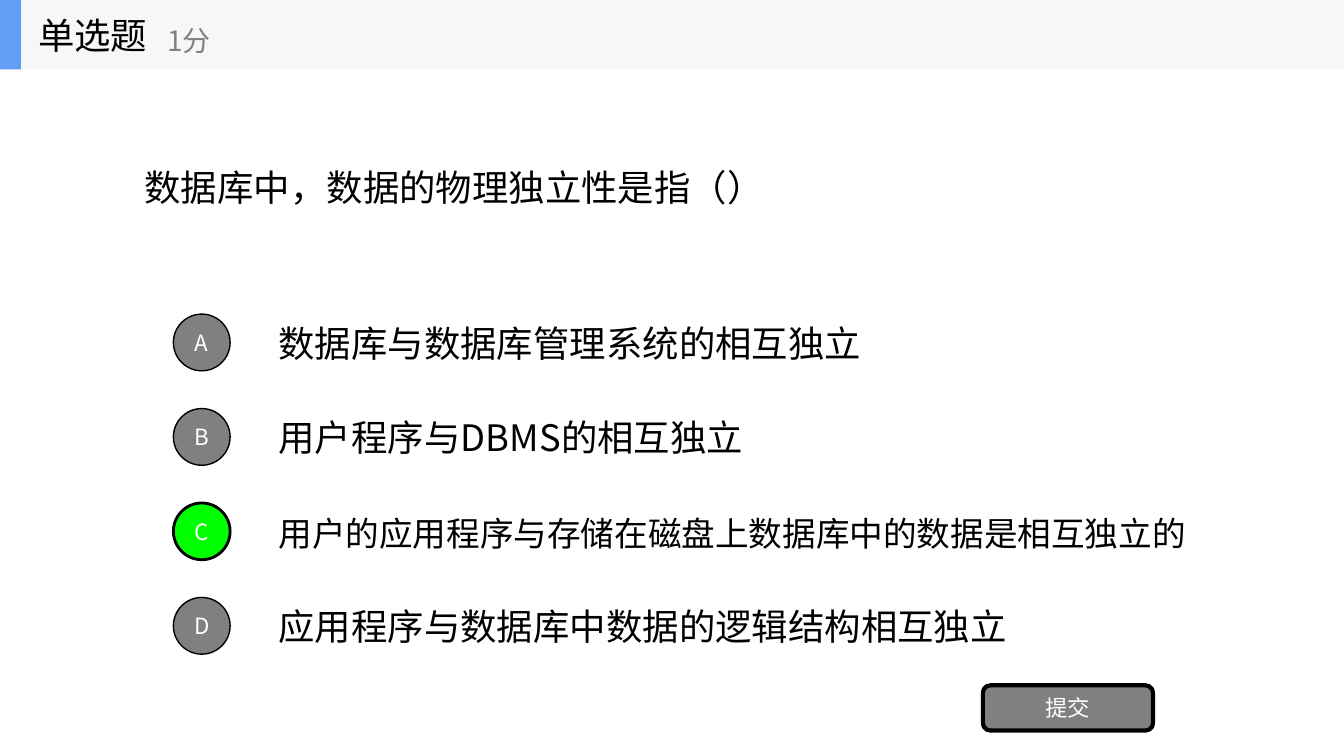
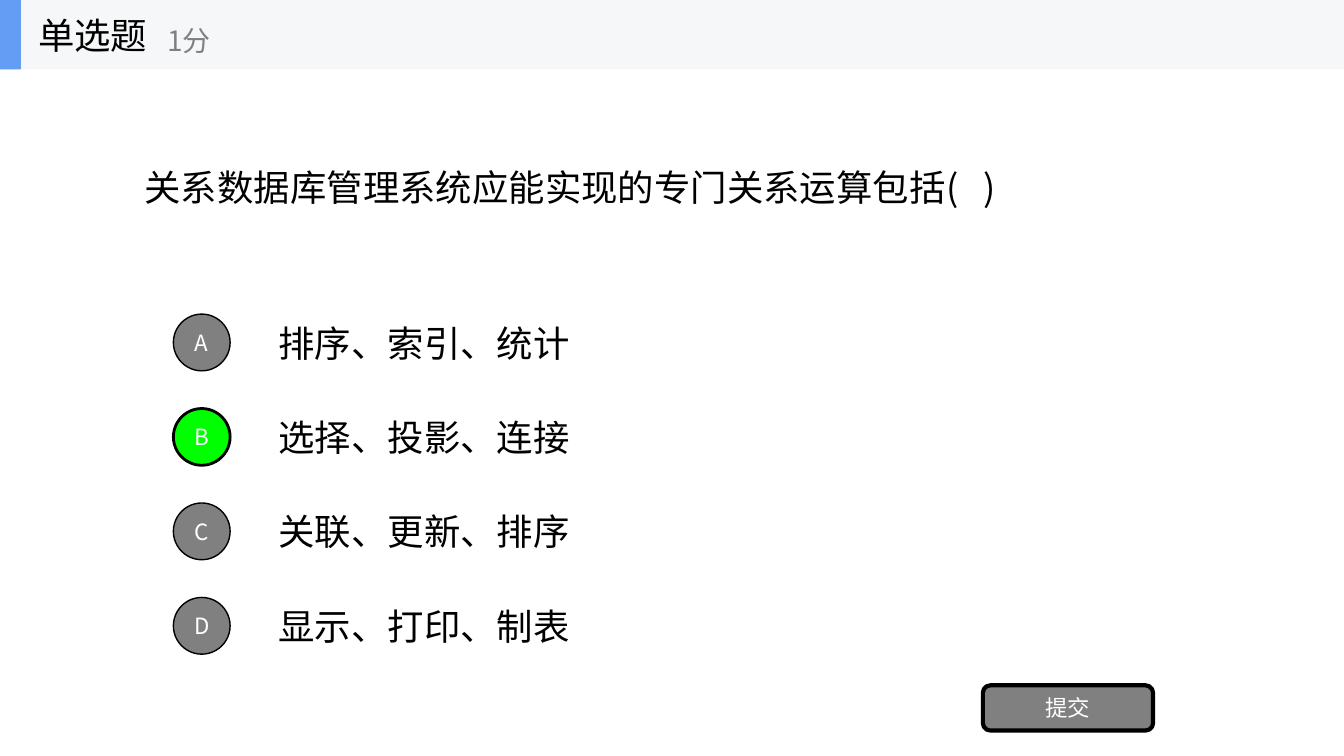
import pptx
import pptx.util
import pptx.dml.color
import pptx.enum.shapes
import pptx.enum.text
import pptx.oxml.ns
import lxml.etree

Cm = pptx.util.Cm
Pt = pptx.util.Pt
RGBColor = pptx.dml.color.RGBColor
Kind = pptx.enum.shapes.MSO_SHAPE
Align = pptx.enum.text.PP_ALIGN
Fit = pptx.enum.text.MSO_AUTO_SIZE
Anchor = pptx.enum.text.MSO_ANCHOR

BLACK = RGBColor(0, 0, 0)
WHITE = RGBColor(255, 255, 255)
GRAY = RGBColor(128, 128, 128)
GREEN = RGBColor(0, 255, 0)
PALE = RGBColor(246, 247, 248)
BLUE = RGBColor(99, 158, 244)
FONT = "Noto Sans CJK SC"

LABEL, POINTS, SUBMIT = "单选题", "1分", "提交"
QUIZ = [
    {
        "ask": "数据库中，数据的物理独立性是指（）",
        "picks": [
            "数据库与数据库管理系统的相互独立",
            "用户程序与DBMS的相互独立",
            "用户的应用程序与存储在磁盘上数据库中的数据是相互独立的",
            "应用程序与数据库中数据的逻辑结构相互独立",
        ],
        "key": "C",
        "top": 1.73,
    },
    {
        "ask": "关系数据库管理系统应能实现的专门关系运算包括(   )",
        "picks": [
            "排序、索引、统计",
            "选择、投影、连接",
            "关联、更新、排序",
            "显示、打印、制表",
        ],
        "key": "B",
        "top": 1.75,
    },
]

WIDTH, HEIGHT = 33.87, 19.05
BAND = 1.75
ROW_TOP, ROW_STEP, ROW_HIGH = 7.74, 2.38, 1.78
DOT = 1.43


def write(shape, text, size, color, align=Align.LEFT):
    frame = shape.text_frame
    frame.text = text
    frame.word_wrap = True
    frame.auto_size = Fit.NONE
    frame.vertical_anchor = Anchor.MIDDLE
    line = frame.paragraphs[0]
    line.alignment = align
    for run in line.runs:
        run.font.size = Pt(size)
        run.font.name = FONT
        run.font.color.rgb = color
        east = lxml.etree.SubElement(run.font._element, pptx.oxml.ns.qn("a:ea"))
        east.set("typeface", FONT)


def add_text(shapes, box, text, size, color):
    shape = shapes.add_textbox(*map(Cm, box))
    write(shape, text, size, color)
    return shape


def add_block(shapes, kind, box, fill, edge=0):
    shape = shapes.add_shape(kind, *map(Cm, box))
    shape.shadow.inherit = False
    shape.fill.solid()
    shape.fill.fore_color.rgb = fill
    if edge:
        shape.line.color.rgb = BLACK
        shape.line.width = Pt(edge)
    else:
        shape.line.fill.background()
    return shape


def add_button(shapes, kind, box, text, fill, edge):
    shape = add_block(shapes, kind, box, fill, edge)
    write(shape, text, 16, WHITE, Align.CENTER)
    shape.text_frame.margin_left = shape.text_frame.margin_right = 0


def add_header(slide):
    shapes = slide.shapes.add_group_shape().shapes
    add_block(shapes, Kind.RECTANGLE, (0, 0, WIDTH, BAND), PALE)
    add_block(shapes, Kind.RECTANGLE, (0, 0, 0.53, BAND), BLUE)
    add_text(shapes, (0.71, 0, 5.28, BAND), LABEL, 26, BLACK)
    add_text(shapes, (3.96, 0.31, 6.35, 1.42), POINTS, 20, GRAY)


def add_quiz(deck, item):
    slide = deck.slides.add_slide(deck.slide_layouts[5])
    shapes = slide.shapes
    title = shapes.title
    title.left, title.top = Cm(3.39), Cm(item["top"])
    title.width, title.height = Cm(27.1), Cm(5.94)
    write(title, item["ask"], 26, BLACK)
    for row, (mark, pick) in enumerate(zip("ABCD", item["picks"])):
        top = ROW_TOP + row * ROW_STEP
        box = add_text(shapes, (6.77, top, 23.71, ROW_HIGH), pick, 26, BLACK)
        box.text_frame.auto_size = Fit.TEXT_TO_FIT_SHAPE
        fill, edge = (GREEN, 2) if mark == item["key"] else (GRAY, 1)
        spot = (4.37, top + (ROW_HIGH - DOT) / 2, DOT, DOT)
        add_button(shapes, Kind.OVAL, spot, mark, fill, edge)
    add_button(shapes, Kind.ROUNDED_RECTANGLE, (24.77, 17.27, 4.29, 1.14),
               SUBMIT, GRAY, 3)
    add_header(slide)


def main():
    deck = pptx.Presentation()
    deck.slide_width, deck.slide_height = Cm(WIDTH), Cm(HEIGHT)
    for item in QUIZ:
        add_quiz(deck, item)
    deck.save("out.pptx")


if __name__ == "__main__":
    main()
